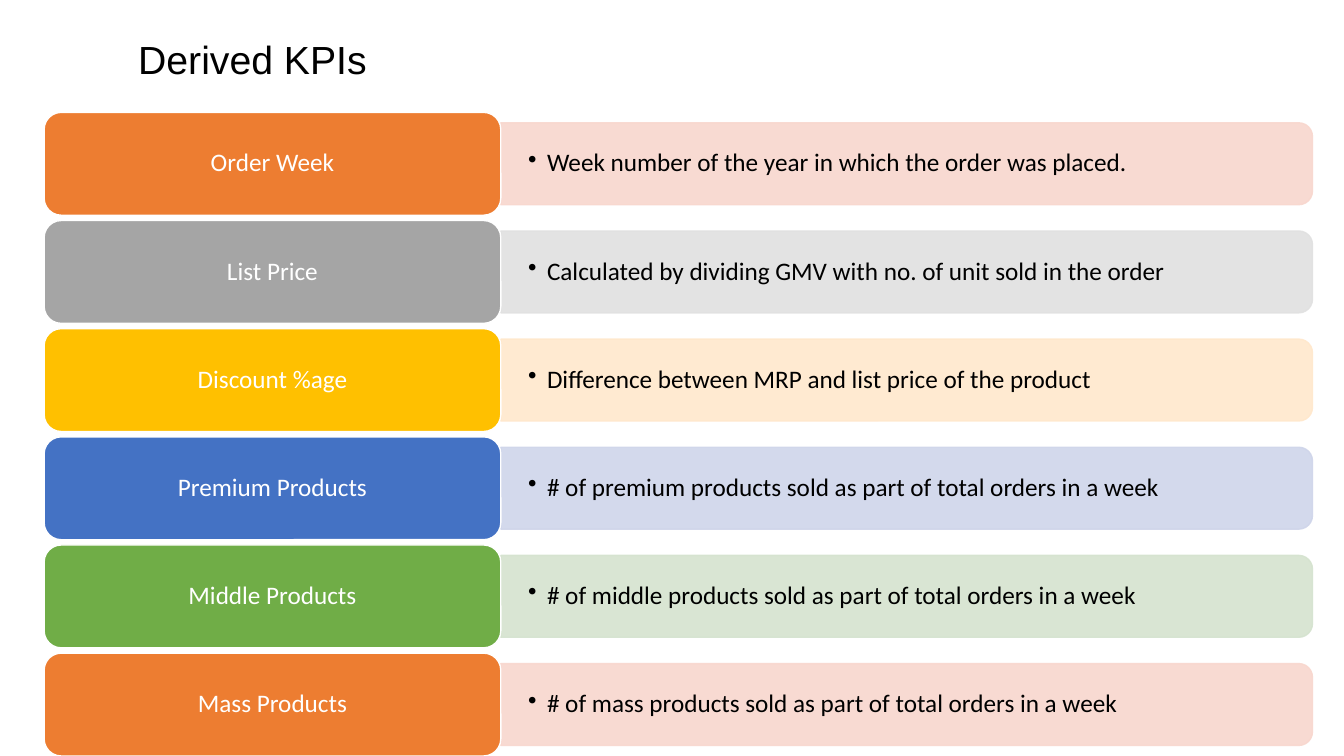
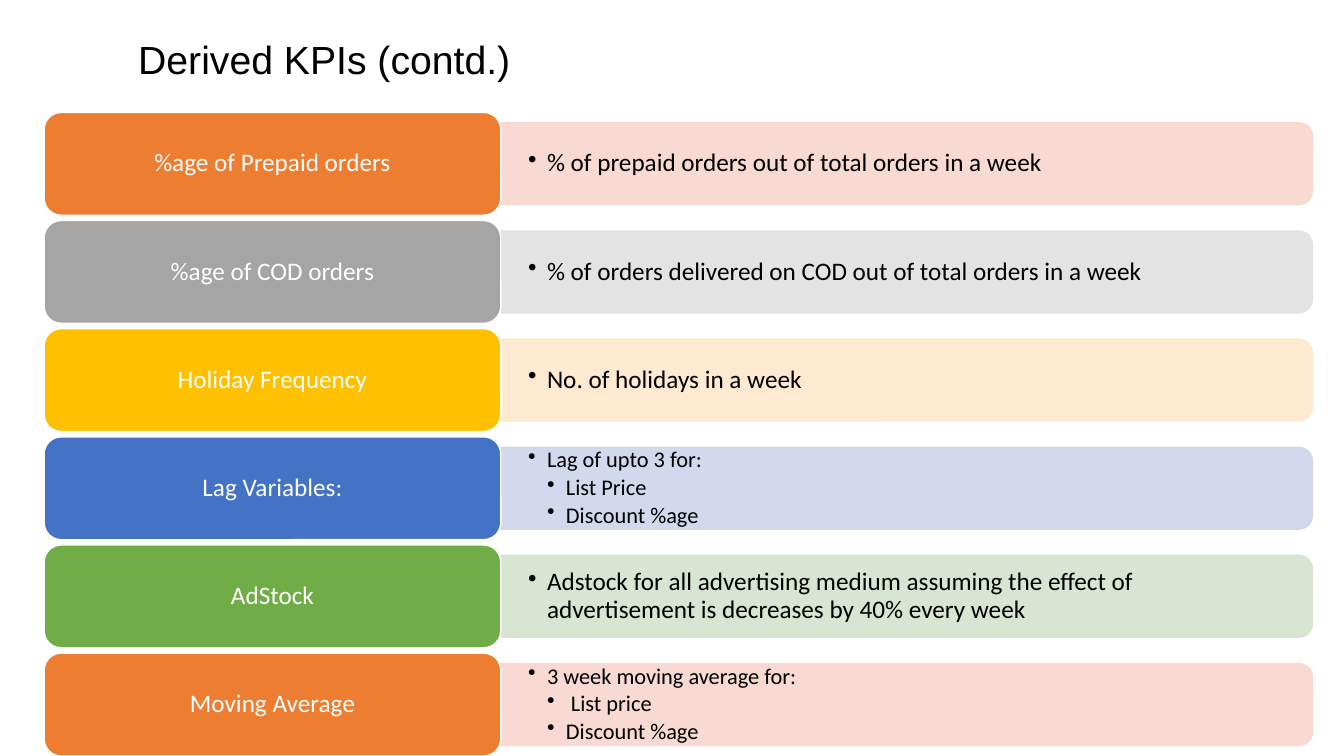
import pptx
import pptx.dml.color
import pptx.enum.shapes
import pptx.enum.text
import pptx.oxml.ns
import pptx.util
import lxml.etree

PX = 9525  # EMU in one px, 96 px to the inch
SHAPES = pptx.enum.shapes.MSO_SHAPE
ALIGN = pptx.enum.text.PP_ALIGN

COLORS = {
    "text": "000000", "white": "FFFFFF",
    "orange": "ED7D31", "orange_tint": "F8D7CE",
    "gray": "A5A5A5", "gray_tint": "E1E1E1",
    "gold": "FFC000", "gold_tint": "FFE8CC",
    "blue": "4472C4", "blue_tint": "CFD5EA",
    "green": "70AD47", "green_tint": "D5E3CF",
}
ROW_COLORS = ["orange", "gray", "gold", "blue", "green", "orange"]

TITLE_BOX = {"left": 122, "top": 28, "width": 978, "height": 62}
LABEL_LEFT, LABEL_WIDTH, LABEL_HEIGHT = 42, 435, 98
FIRST_TOP, ROW_STEP = 107, 103
BAR_LEFT, BAR_WIDTH, BAR_HEIGHT = LABEL_LEFT + LABEL_WIDTH, 773, 78
TEXT_WIDTH, TEXT_HEIGHT = 769, 71
INDENT = 18

TITLE_FONT = {"name": "Arial", "size": pptx.util.Pt(28)}
LABEL_FONT = {"name": "Calibri", "size": pptx.util.Pt(18)}
LIST_FONT = {"name": "Calibri", "size": pptx.util.Pt(18)}
NESTED_FONT = {"name": "Calibri", "size": pptx.util.Pt(16)}

# Each row is a label, its description and any nested points.
PAGES = [
    ("Derived KPIs", [
        ("Order Week", "Week number of the year in which the order was placed."),
        ("List Price", "Calculated by dividing GMV with no. of unit sold in the order"),
        ("Discount %age", "Difference between MRP and list price of the product"),
        ("Premium Products", "# of premium products sold as part of total orders in a week"),
        ("Middle Products", "# of middle products sold as part of total orders in a week"),
        ("Mass Products", "# of mass products sold as part of total orders in a week"),
    ]),
    ("Derived KPIs (contd.)", [
        ("%age of Prepaid orders", "% of prepaid orders out of total orders in a week"),
        ("%age of COD orders", "% of orders delivered on COD out of total orders in a week"),
        ("Holiday Frequency", "No. of holidays in a week"),
        ("Lag Variables:", "Lag of upto 3 for:", "List Price", "Discount %age"),
        ("AdStock", "Adstock for all advertising medium assuming the effect of "
                    "advertisement is decreases by 40% every week"),
        ("Moving Average", "3 week moving average for:", " List price", "Discount %age"),
    ]),
]


def write(frame, lines, font, color, align, margins=None):
    """Fill a vertically centred text frame, one paragraph a line."""
    frame.word_wrap = True
    frame.auto_size = pptx.enum.text.MSO_AUTO_SIZE.NONE
    frame.vertical_anchor = pptx.enum.text.MSO_ANCHOR.MIDDLE
    if margins:
        across, down = margins
        frame.margin_left = frame.margin_right = across * PX
        frame.margin_top = frame.margin_bottom = down * PX
    for number, line in enumerate(lines):
        para = frame.add_paragraph() if number else frame.paragraphs[0]
        para.alignment = align
        para.line_spacing = 0.9
        span = para.add_run()
        span.text = line
        for name, value in font.items():
            setattr(span.font, name, value)
        span.font.color.rgb = pptx.dml.color.RGBColor.from_string(COLORS[color])


def paint(shape, fill, line, opacity=100):
    shape.shadow.inherit = False
    shape.fill.solid()
    shape.fill.fore_color.rgb = pptx.dml.color.RGBColor.from_string(COLORS[fill])
    shape.line.color.rgb = pptx.dml.color.RGBColor.from_string(COLORS[line])
    shape.line.width = pptx.util.Pt(1)
    if opacity < 100:
        for color in shape.element.spPr.iter(pptx.oxml.ns.qn("a:srgbClr")):
            alpha = lxml.etree.SubElement(color, pptx.oxml.ns.qn("a:alpha"))
            alpha.set("val", str(opacity * 1000))


deck = pptx.Presentation()
deck.slide_width, deck.slide_height = 1280 * PX, 720 * PX
layout = deck.slide_layouts.get_by_name("Title Only")
for name, value in TITLE_BOX.items():
    setattr(layout.placeholders[0], name, value * PX)

for title, rows in PAGES:
    page = deck.slides.add_slide(layout)
    write(page.shapes.title.text_frame, [title], TITLE_FONT, "text", ALIGN.LEFT)

    for index, (label, *points) in enumerate(rows):
        color = ROW_COLORS[index]
        top = FIRST_TOP + index * ROW_STEP
        middle = top + LABEL_HEIGHT / 2

        # The bar stands upright before its quarter turn.
        bar = page.shapes.add_shape(
            SHAPES.ROUND_2_SAME_RECTANGLE,
            int((BAR_LEFT + (BAR_WIDTH - BAR_HEIGHT) / 2) * PX),
            int((middle - BAR_WIDTH / 2) * PX),
            BAR_HEIGHT * PX, BAR_WIDTH * PX)
        bar.rotation = 90
        paint(bar, color + "_tint", color + "_tint", opacity=90)

        box = page.shapes.add_textbox(
            BAR_LEFT * PX, int((middle - TEXT_HEIGHT / 2) * PX),
            TEXT_WIDTH * PX, TEXT_HEIGHT * PX)
        font = NESTED_FONT if len(points) > 1 else LIST_FONT
        write(box.text_frame, points, font, "text", ALIGN.LEFT, margins=(26, 13))
        for number, para in enumerate(box.text_frame.paragraphs):
            para.level = 1 if number else 0
            para.space_after = int(font["size"] * 0.15)
            properties = para._p.get_or_add_pPr()
            properties.set("marL", str((para.level + 1) * INDENT * PX))
            properties.set("indent", str(-INDENT * PX))
            bullet = lxml.etree.SubElement(properties, pptx.oxml.ns.qn("a:buChar"))
            bullet.set("char", "•")

        tile = page.shapes.add_shape(
            SHAPES.ROUNDED_RECTANGLE, LABEL_LEFT * PX, top * PX,
            LABEL_WIDTH * PX, LABEL_HEIGHT * PX)
        paint(tile, color, "white")
        write(tile.text_frame, [label], LABEL_FONT, "white", ALIGN.CENTER, margins=(7, 4))

deck.save("out.pptx")
